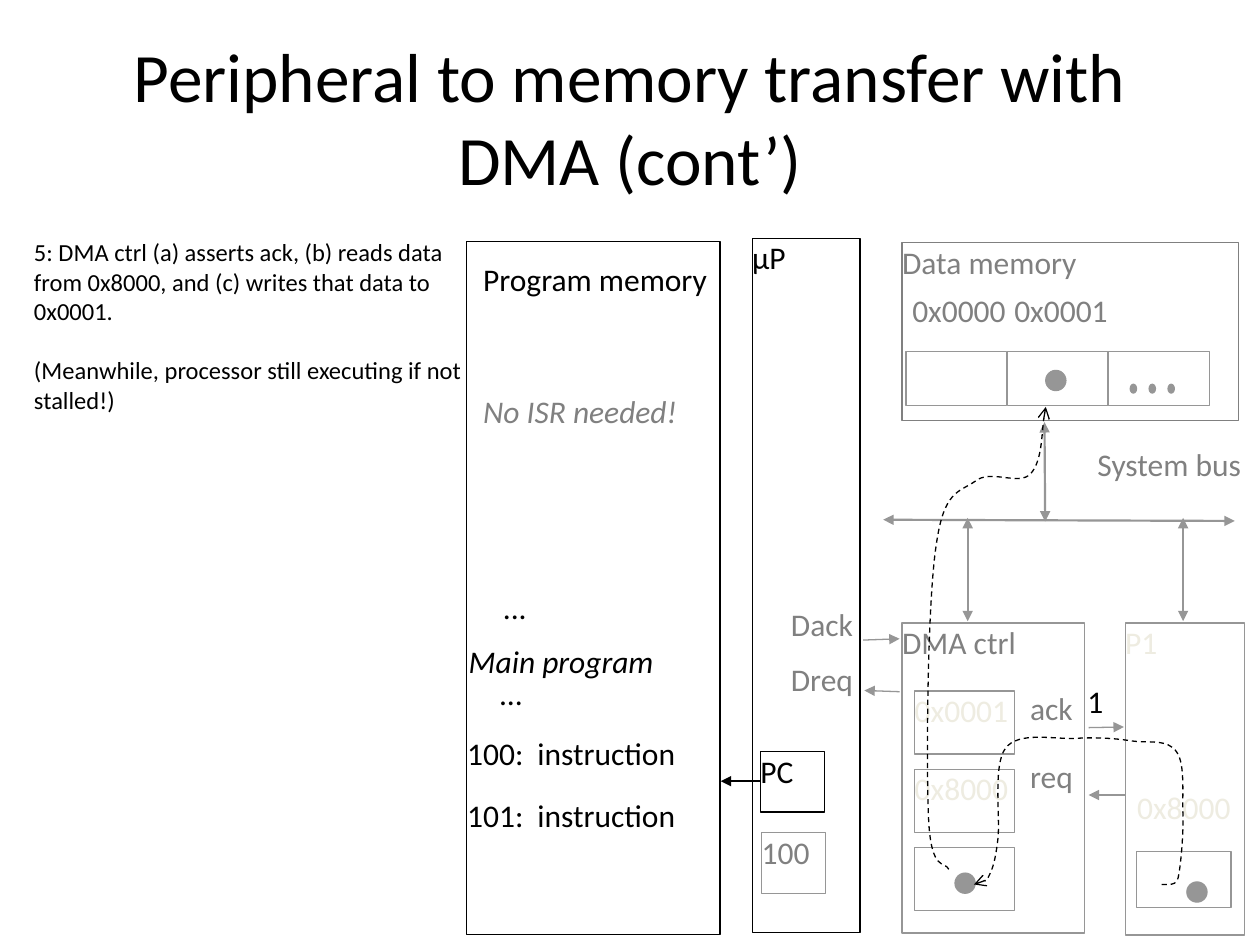
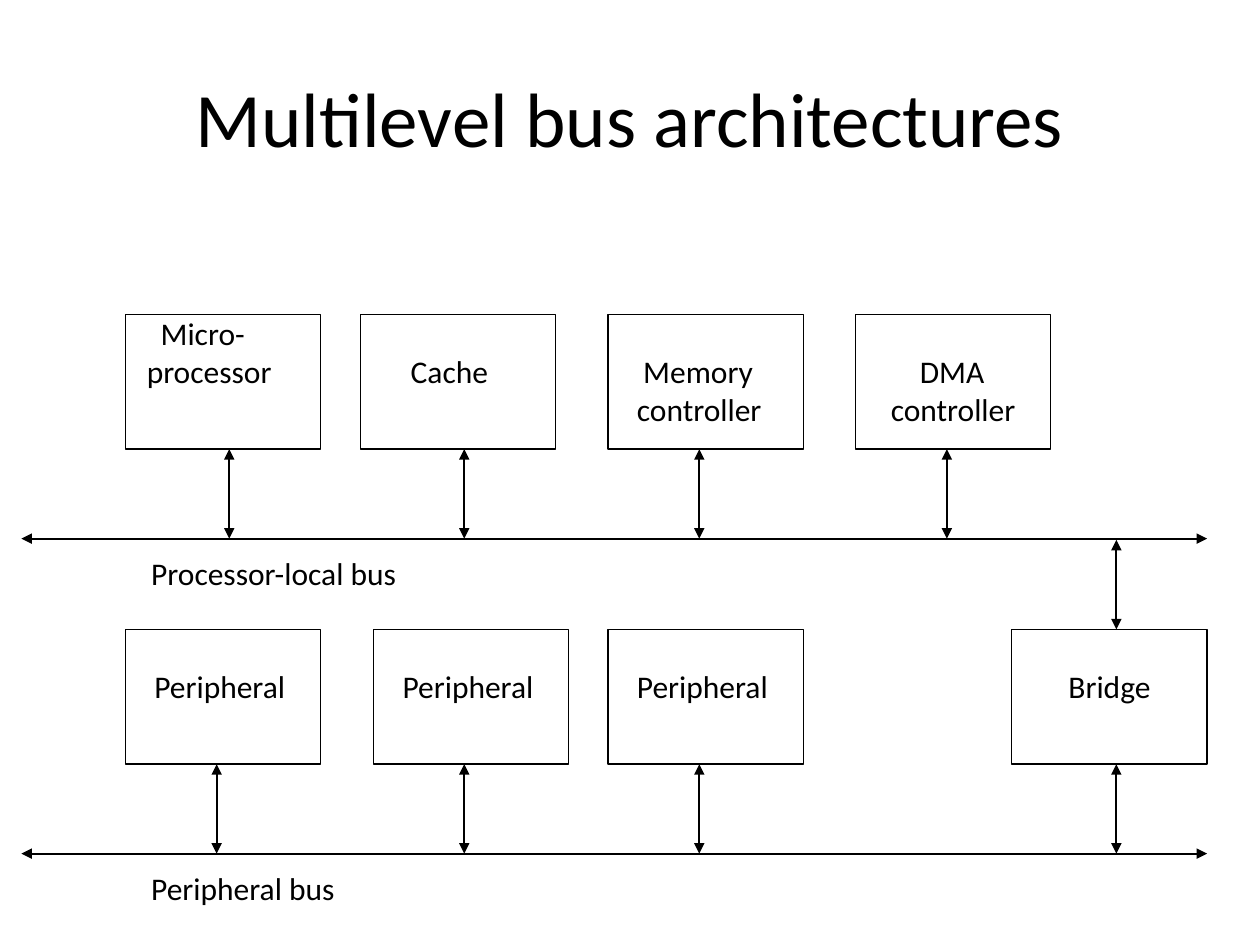
from dataclasses import dataclass

from lxml.etree import SubElement
from pptx import Presentation
from pptx.dml.color import RGBColor as Rgb
from pptx.enum.dml import MSO_LINE as Dash
from pptx.enum.shapes import MSO_CONNECTOR as Conn, MSO_SHAPE as Kind
from pptx.enum.text import MSO_ANCHOR as Anchor, PP_ALIGN as Align
from pptx.oxml.ns import qn
from pptx.util import Inches, Pt


@dataclass(frozen=True)
class Theme:
    font: str = "Calibri"
    ink: str = "000000"
    paper: str = "FFFFFF"
    gray: str = "808080"   # faded text
    rule: str = "969696"   # faded lines
    cream: str = "EEECE1"  # nearly hidden text
    title: float = 44
    tight: float = 39.6
    body: float = 18
    note: float = 14
    thin: float = 0.75
    bold: float = 1.25


T = Theme()
COLS, ROWS = 100, 75  # grid of the slide
WIDE, HIGH = Inches(10), Inches(7.5)


def stroke(shape, color, width, dash=False, head=None, tail=None):
    """Style a line; head and tail name the arrowheads at its ends."""
    shape.line.color.rgb = Rgb.from_string(color)
    shape.line.width = Pt(width)
    if dash:
        shape.line.dash_style = Dash.DASH
    ln = shape.element.spPr.find(qn("a:ln"))
    for tag, kind in (("a:headEnd", head), ("a:tailEnd", tail)):
        if kind:
            SubElement(ln, qn(tag), type=kind)


def write(shape, text, color=T.ink, size=T.body, align=Align.LEFT,
          italic=False, anchor=Anchor.TOP, gap=0):
    """Fill a shape with text that has no insets; gap parts paragraphs."""
    frame = shape.text_frame
    frame.text = text
    frame.word_wrap = True
    frame.vertical_anchor = anchor
    frame.margin_left = frame.margin_right = 0
    frame.margin_top = frame.margin_bottom = 0
    for i, para in enumerate(frame.paragraphs):
        para.alignment = align
        if i and gap:
            para.space_before = Pt(gap)
        for run in para.runs:
            font = run.font
            font.name, font.size, font.italic = T.font, Pt(size), italic
            font.color.rgb = Rgb.from_string(color)
    return frame


class Box:
    """An area of a slide; all lengths are grid columns and rows."""

    def __init__(self, slide, x=0, y=0, w=COLS, h=ROWS):
        self.slide, self.x, self.y, self.w, self.h = slide, x, y, w, h

    def sub(self, x, y, w, h):
        return Box(self.slide, self.x + x, self.y + y, w, h)

    def spot(self, x, y):
        return (round((self.x + x) * WIDE / COLS),
                round((self.y + y) * HIGH / ROWS))

    def span(self, x, y, w, h):
        left, top = self.spot(x, y)
        right, low = self.spot(x + w, y + h)
        return left, top, right - left, low - top

    def shape(self, x, y, w, h, line=T.ink, fill=None, kind=Kind.RECTANGLE):
        item = self.slide.shapes.add_shape(kind, *self.span(x, y, w, h))
        item.shadow.inherit = False
        if fill:
            item.fill.solid()
            item.fill.fore_color.rgb = Rgb.from_string(fill)
        else:
            item.fill.background()
        stroke(item, line, T.thin)
        return item

    def frame(self, line=T.ink, fill=T.paper):
        return self.shape(0, 0, self.w, self.h, line, fill)

    def dot(self, x, y, w=1.6, h=1.6):
        self.shape(x, y, w, h, T.rule, T.rule, Kind.OVAL)

    def label(self, text, x, y, w, h=4.5, **style):
        item = self.slide.shapes.add_textbox(*self.span(x, y, w, h))
        return write(item, text, **style)

    def arrow(self, start, end, color=T.rule, width=T.thin, both=False):
        item = self.slide.shapes.add_connector(
            Conn.STRAIGHT, *self.spot(*start), *self.spot(*end))
        stroke(item, color, width, head="triangle" if both else None,
               tail="triangle")
        SubElement(item.element.spPr, qn("a:effectLst"))

    def curve(self, start, bends):
        """Dashed arrow along cubic bends (control, control, end)."""
        path = self.slide.shapes.build_freeform(*self.spot(*start))
        path.add_line_segments(
            [self.spot(*dot) for bend in bends for dot in bend], close=False)
        item = path.convert_to_shape()
        # Join each three straight steps into one cubic bend
        steps = list(item.element.spPr.iter(qn("a:lnTo")))
        for i in range(0, len(steps), 3):
            trio = steps[i:i + 3]
            bend = SubElement(trio[0].getparent(), qn("a:cubicBezTo"))
            for step in trio:
                bend.append(step[0])
                step.getparent().remove(step)
        item.shadow.inherit = False
        item.fill.background()
        stroke(item, T.ink, T.thin, dash=True, tail="arrow")


def title(page, text, size=T.title):
    page.label(text, 6, 3, 88, 12.5, size=size, align=Align.CENTER,
               anchor=Anchor.MIDDLE)


# Parts of the transfer slide

def program(box):
    box.frame()
    box.label("Program memory", 1.35, 1.45, 18.6)
    box.label("No ISR needed!", 1.35, 11.95, 17.4, color=T.gray, italic=True)
    box.label("...", 1.3, 27.55, 3.5, align=Align.RIGHT)
    box.label("Main program", 0.2, 31.8, 15.9, italic=True)
    box.label("...", 1.1, 34.35, 3.4, align=Align.RIGHT)
    for i, line in enumerate(("100:", "101:")):
        y = 39.1 + 4.95 * i
        box.label(line, -1, y, 5.55, align=Align.RIGHT)
        box.label("instruction", 5.65, y, 12.2)


def cpu(box):
    write(box.frame(), "μP")
    write(box.shape(0.65, 40.75, 5.1, 4.8, fill=T.paper), "PC")
    write(box.shape(0.75, 47.2, 5.1, 4.8, T.rule, T.paper), "100", T.gray)
    box.arrow((0.6, 43.1), (-2.5, 43.1), T.ink, T.bold)
    # Handshake with the DMA controller
    for name, y in (("Dack", 29.1), ("Dreq", 33.5)):
        box.label(name, 2.3, y, 5.7, color=T.gray, align=Align.RIGHT)
    box.arrow((8.8, 31.9), (11.7, 31.8))
    box.arrow((11.7, 36), (8.9, 35.9))


def data(box):
    write(box.frame(T.gray, None), "Data memory", T.gray)
    pitch = 8.05
    for i, name in enumerate(("0x0000", "0x0001")):
        box.label(name, 0.8 + 8.1 * i, 3.85, 8.2, color=T.gray)
    for i in range(3):
        box.shape(0.3 + pitch * i, 8.65, 8, 4.3, T.rule)
        box.dot(18.1 + 1.5 * i, 11.25, 0.5, 0.7)
    box.dot(11.4, 10.15)


def wires(box):
    box.label("System bus", 17, 1.8, 12.1, color=T.gray)
    for start, end in (((0, 7.75), (27.9, 7.85)),
                       ((12.8, 0), (12.85, 7.9)),
                       ((6.7, 7.6), (6.7, 15.8)),
                       ((23.8, 7.6), (23.8, 15.8))):
        box.arrow(start, end, width=T.bold, both=True)


def dma(box):
    write(box.frame(T.rule), "DMA ctrl", T.gray)
    for i, text in enumerate(("0x0001", "0x8000", "")):
        slot = box.shape(1, 5.4 + 6.2 * i, 7.9, 5, T.rule)
        if text:
            write(slot, text, T.cream)
    box.dot(4.2, 19.85)
    # Handshake with the peripheral
    for i, name in enumerate(("ack", "req")):
        box.label(name, 10.15, 5.25 + 5.4 * i, 4.1, color=T.gray)
    box.arrow((14.8, 8.3), (17.6, 8.25))
    box.arrow((17.7, 13.65), (14.8, 13.65))
    box.label("1", 14.7, 4.7, 2.3)


def device(box):
    write(box.frame(T.rule, None), "P1", T.cream)
    box.label("0x8000", 0.95, 13.1, 7.6, color=T.cream)
    box.shape(0.9, 18.15, 7.5, 4.45, T.rule, T.paper)
    box.dot(4.9, 20.55)


def flow(page):
    # Peripheral to controller
    page.curve((92.2, 70.2), (
        ((92.5, 70.1), (93.2, 70.5), (93.5, 69.7)),
        ((93.7, 68.8), (93.9, 66.6), (93.9, 64.9)),
        ((93.8, 63.3), (94.1, 60.7), (93.4, 59.7)),
        ((92.7, 58.6), (91.1, 59), (89.8, 58.8)),
        ((88.5, 58.6), (87, 58.5), (85.4, 58.6)),
        ((83.7, 58.7), (80.8, 58), (79.8, 59.4)),
        ((78.8, 60.7), (79.4, 65), (79.2, 66.6)),
        ((79, 68.3), (78.8, 68.9), (78.5, 69.5)),
        ((78.2, 70.1), (77.6, 70.1), (77.3, 70.2))))
    # Controller to data memory
    page.curve((75.3, 69), (
        ((75, 68.3), (73.9, 69.3), (73.7, 65)),
        ((73.5, 60.8), (73.6, 47.8), (74.3, 43.3)),
        ((74.9, 38.9), (76.1, 39.1), (77.4, 38.2)),
        ((78.6, 37.2), (80.9, 38.6), (81.8, 37.6)),
        ((82.7, 36.6), (82.7, 33.4), (83, 32.3))))


def transfer(page):
    title(page, "Peripheral to memory transfer with DMA (cont’)", T.tight)
    page.label("5: DMA ctrl (a) asserts ack, (b) reads data from 0x8000, "
               "and (c) writes that data to 0x0001.\n"
               "(Meanwhile, processor still executing if not stalled!)",
               2.7, 18.85, 36.4, 13.4, size=T.note, gap=17)
    data(page.sub(71.6, 19.25, 26.7, 14.1))
    cpu(page.sub(59.7, 18.9, 8.55, 55.1))
    dma(page.sub(71.6, 49.45, 14.5, 24.6))
    device(page.sub(89.3, 49.45, 9.5, 24.75))
    wires(page.sub(70.1, 33.5, 29.2, 15.8))
    program(page.sub(37, 19.15, 20.15, 55))
    flow(page)


# Parts of the bus slide

def level(box, name, units):
    """A row of units wired to one bus; each line has its own indent."""
    rail, tall = 17.8, 10.7
    for text, x, tap, drop, *dents in units:
        frame = write(box.shape(x, 0, 15.5, tall, fill=T.paper), text)
        frame.margin_top = Inches(drop)
        for para, dent in zip(frame.paragraphs, dents):
            props = para._p.get_or_add_pPr()
            props.set("marL", str(Inches(dent)))
            props.set("indent", "0")
        box.arrow((tap, tall), (tap, rail), T.ink, T.bold, both=True)
    box.arrow((0, rail), (box.w, rail), T.ink, T.bold, both=True)
    box.label(name, 10.3, 19.05, 57.8)


def buses(page):
    title(page, "Multilevel bus architectures")
    line = 0.3  # one text line, in inches
    upper = page.sub(1.7, 24.95, 94.1, 25)
    lower = upper.sub(0, 25, upper.w, upper.h)
    level(upper, "Processor-local bus", (
        ("Micro-\nprocessor", 8.25, 16.5, 0, 0.28, 0.17),
        ("Cache", 26.9, 35.15, line, 0.4),
        ("Memory\ncontroller", 46.55, 53.8, line, 0.28, 0.23),
        ("DMA\ncontroller", 66.2, 73.45, line, 0.51, 0.28)))
    level(lower, "Peripheral bus", (
        ("Peripheral", 8.25, 15.5, line, 0.23),
        ("Peripheral", 27.95, 35.15, line, 0.23),
        ("Peripheral", 46.55, 53.8, line, 0.23),
        ("Bridge", 78.6, 86.9, line, 0.45)))
    # Link from the upper bus to the bridge
    lower.arrow((86.9, -7.1), (86.9, 0), T.ink, T.bold, both=True)


def main():
    deck = Presentation()
    deck.slide_width, deck.slide_height = WIDE, HIGH
    for build in (transfer, buses):
        build(Box(deck.slides.add_slide(deck.slide_layouts[6])))
    deck.save("out.pptx")


if __name__ == "__main__":
    main()
